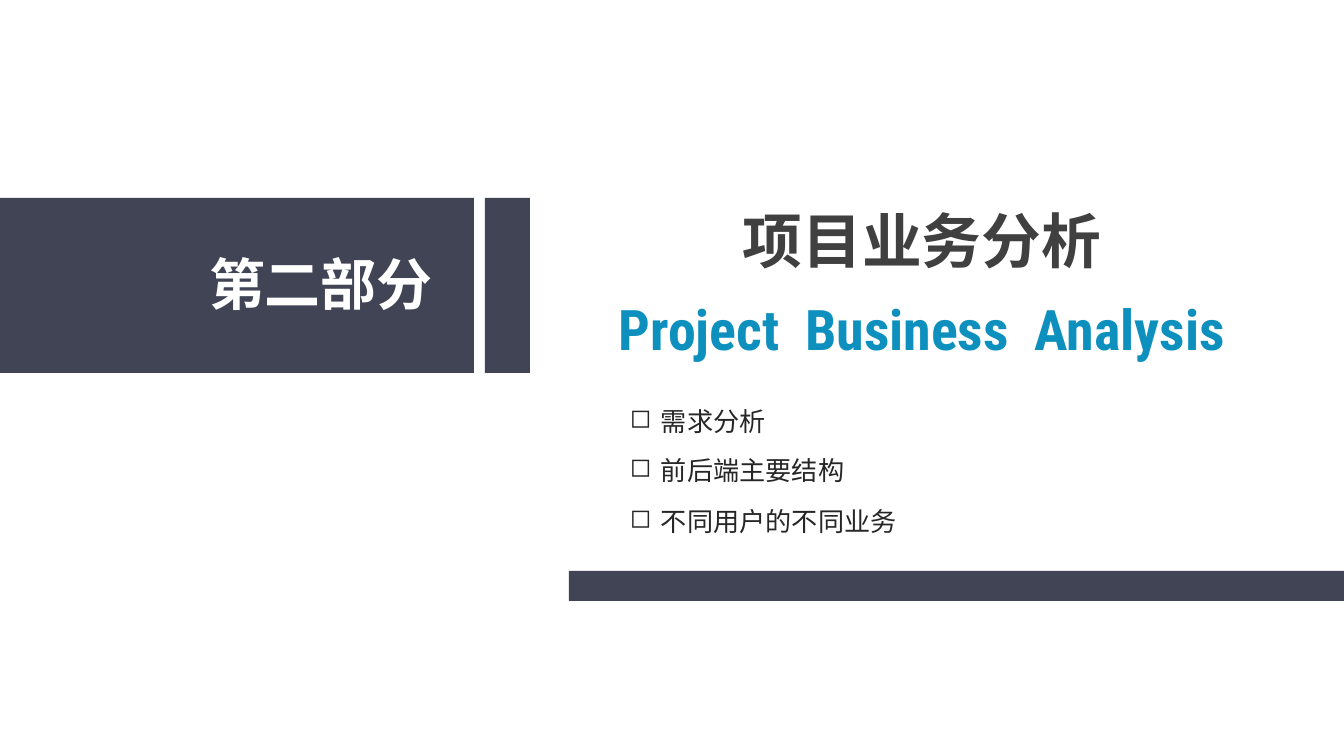
from dataclasses import dataclass

from lxml import etree
from pptx import Presentation
from pptx import util as u
from pptx.dml.color import RGBColor
from pptx.enum import shapes, text
from pptx.oxml.ns import qn


@dataclass(frozen=True)
class Theme:
    slate: str = "414455"
    white: str = "FFFFFF"
    ink: str = "262626"
    heading: str = "404040"
    accent: str = "0E90BE"
    cjk: str = "Noto Sans CJK SC"
    latin: str = "Roboto Condensed"
    title_size: int = 32
    display_size: int = 30
    topic_size: int = 14


THEME = Theme()
SCALE = 914400 / 134.4
SLIDE = (1344, 756)
BULLET = "◻"
BULLET_INDENT = 31
INSETS = {"margin_left": 10, "margin_right": 10, "margin_top": 5, "margin_bottom": 5}

BARS = [(0, 198, 474, 175), (485, 198, 45, 175), (569, 571, 775, 30)]
SECTION = ("第二部分", (199, 245, 246, 78))
TITLE = ("项目业务分析", (731, 199, 382, 82))
SUBTITLE = ("Project  Business  Analysis", (602, 290, 640, 78))
TOPIC_LEFT, TOPIC_HEIGHT = 620, 42
TOPICS = [("需求分析", 400, 157), ("前后端主要结构", 449, 235), ("不同用户的不同业务", 500, 290)]


def px(length):
    return u.Emu(round(length * SCALE))


def apply(target, values):
    for name, value in values.items():
        setattr(target, name, value)


def place(part, box):
    apply(part, dict(zip(("left", "top", "width", "height"), map(px, box))))


def write(part, words, size, color, font=THEME.cjk, bold=True,
          align=text.PP_ALIGN.LEFT, bullet=False):
    frame = part.text_frame
    apply(frame, {name: px(inset) for name, inset in INSETS.items()})
    apply(frame, {"word_wrap": False, "auto_size": text.MSO_AUTO_SIZE.NONE,
                  "vertical_anchor": text.MSO_ANCHOR.TOP})
    paragraph = frame.paragraphs[0]
    paragraph.alignment = align
    if bullet:
        properties = paragraph._p.get_or_add_pPr()
        properties.set("marL", str(px(BULLET_INDENT)))
        properties.set("indent", str(-px(BULLET_INDENT)))
        etree.SubElement(properties, qn("a:buChar"), char=BULLET)
    run = paragraph.add_run()
    run.text = words
    apply(run.font, {"name": font, "size": u.Pt(size), "bold": bold})
    run.font.color.rgb = RGBColor.from_string(color)
    etree.SubElement(run._r.get_or_add_rPr(), qn("a:ea"), typeface=font)


def add_words(slide, words, box, *style, **options):
    part = slide.shapes.add_textbox(*map(px, box))
    write(part, words, *style, **options)


def add_bar(slide, box):
    bar = slide.shapes.add_shape(shapes.MSO_SHAPE.RECTANGLE, *map(px, box))
    bar.shadow.inherit = False
    bar.fill.solid()
    bar.fill.fore_color.rgb = RGBColor.from_string(THEME.slate)
    bar.line.fill.background()


def main():
    deck = Presentation()
    apply(deck, dict(zip(("slide_width", "slide_height"), map(px, SLIDE))))
    slide = deck.slides.add_slide(deck.slide_layouts[5])

    for box in BARS:
        add_bar(slide, box)

    title, title_box = TITLE
    place(slide.shapes.title, title_box)
    write(slide.shapes.title, title, THEME.title_size, THEME.heading,
          align=text.PP_ALIGN.CENTER)
    add_words(slide, *SUBTITLE, THEME.display_size, THEME.accent,
              font=THEME.latin, align=text.PP_ALIGN.CENTER)
    add_words(slide, *SECTION, THEME.display_size, THEME.white)

    for topic, top, width in TOPICS:
        add_words(slide, topic, (TOPIC_LEFT, top, width, TOPIC_HEIGHT),
                  THEME.topic_size, THEME.ink, bold=False, bullet=True)

    deck.save("out.pptx")


if __name__ == "__main__":
    main()
